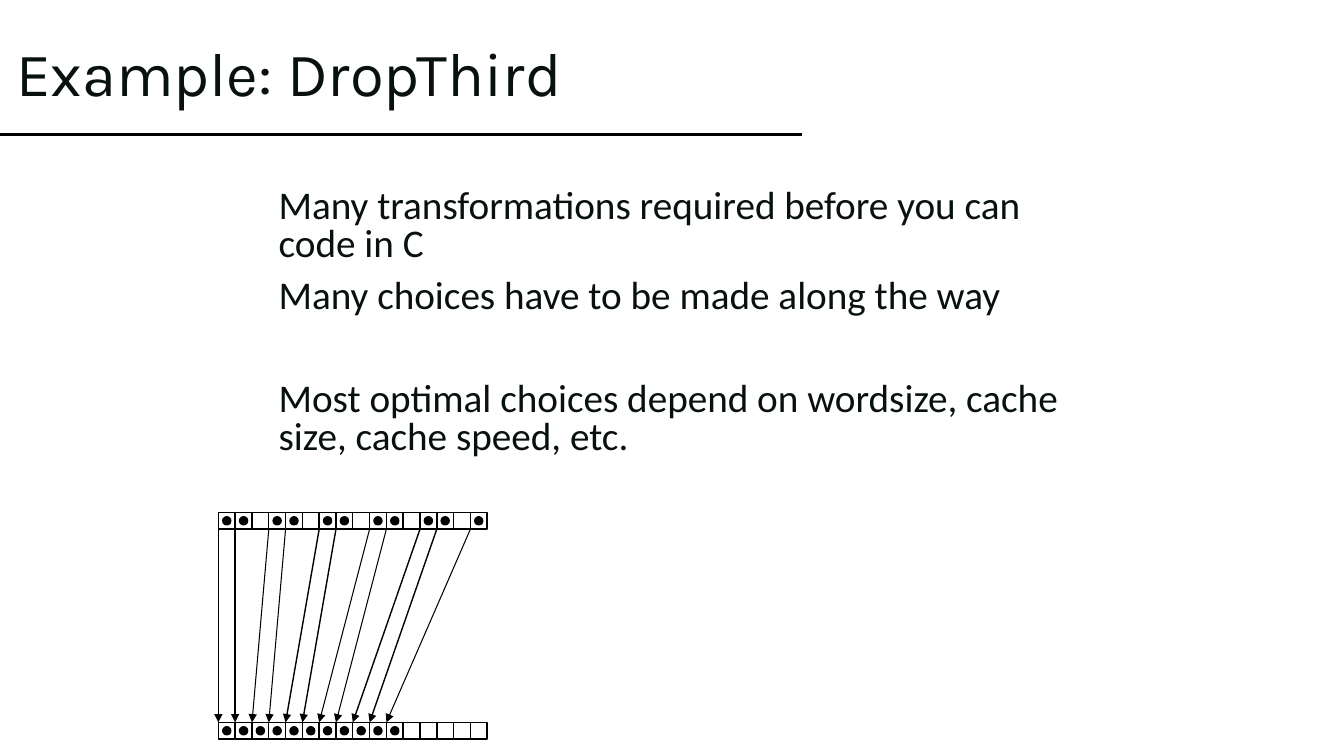
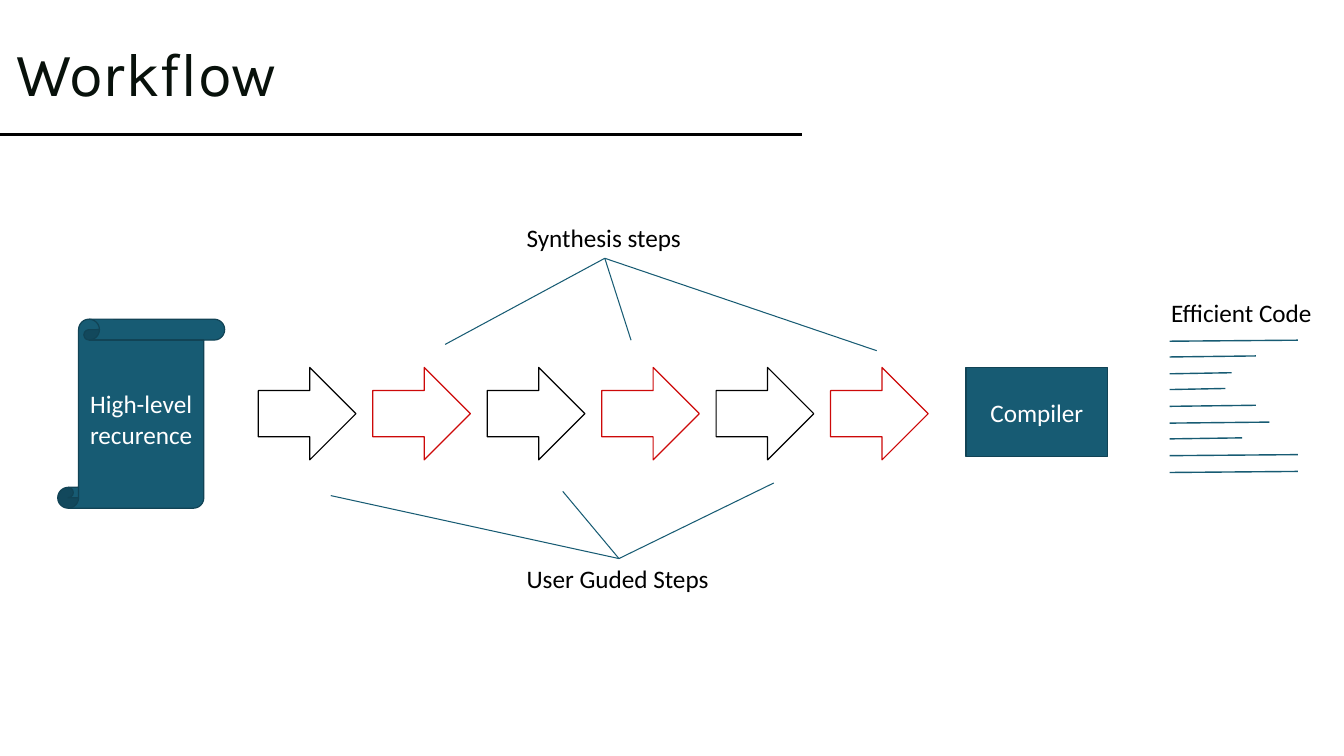
from lxml.etree import SubElement
from pptx import Presentation
from pptx.dml.color import RGBColor
from pptx.enum.shapes import MSO_CONNECTOR, MSO_SHAPE
from pptx.enum.text import MSO_ANCHOR, MSO_AUTO_SIZE, PP_ALIGN
from pptx.oxml.ns import qn
from pptx.util import Pt

EMU_PER_PX = 9525
COLORS = {
    "ink": "08110B",
    "black": "000000",
    "white": "FFFFFF",
    "teal": "175B73",
    "dark_teal": "114355",
    "red": "CD0909",
}
TITLE_FONT = {"name": "Karla", "size": Pt(44)}
BODY_FONT = {"name": "Calibri", "size": Pt(28)}
LABEL_FONT = {"name": "Calibri", "size": Pt(18)}
LABEL_FRAME = {"word_wrap": False, "auto_size": MSO_AUTO_SIZE.SHAPE_TO_FIT_TEXT}
BOTTOM, TOP = 2, 0

CELL, CELL_COUNT, ROW_LEFT = 16, 16, 208
SOURCE_TOP, TARGET_TOP = 488, 688
DOT, DOT_INSET = 8, 4

STEP_LEFT, STEP_PITCH = 246, 109
CODE_LEFT, CODE_TOP, CODE_HEIGHT = 1114, 325, 125
CODE_ENDS = [1236, 1196, 1173, 1167, 1196, 1209, 1183, 1236, 1236]


def px(*lengths):
    return [length * EMU_PER_PX for length in lengths]


def color(name):
    return RGBColor.from_string(COLORS[name])


def set_formats(target, formats):
    for name, value in formats.items():
        setattr(target, name, value)


def set_line(line, line_color, width):
    line.color.rgb = color(line_color)
    line.width = Pt(width)


def write_paragraph(paragraph, text, font, font_color, formats):
    paragraph.text = text
    set_formats(paragraph, formats)
    set_formats(paragraph.font, font)
    paragraph.font.color.rgb = color(font_color)


def add_text(shapes, box, text, font, font_color, frame_formats, paragraph_formats):
    shape = shapes.add_textbox(*px(*box))
    set_formats(shape.text_frame, frame_formats)
    write_paragraph(shape.text_frame.paragraphs[0], text, font, font_color, paragraph_formats)
    return shape


def add_label(shapes, box, text):
    return add_text(shapes, box, text, LABEL_FONT, "black", LABEL_FRAME, {})


def add_preset(shapes, kind, box, fill_color, line_color, width, text=None):
    shape = shapes.add_shape(kind, *px(*box))
    shape.shadow.inherit = False
    if fill_color:
        shape.fill.solid()
        shape.fill.fore_color.rgb = color(fill_color)
    else:
        shape.fill.background()
    set_line(shape.line, line_color, width)
    if text:
        set_formats(shape.text_frame, {"word_wrap": True, "vertical_anchor": MSO_ANCHOR.MIDDLE})
        write_paragraph(shape.text_frame.paragraphs[0], text, LABEL_FONT, "white",
                        {"alignment": PP_ALIGN.CENTER})
    return shape


def add_line(shapes, start, end, line_color, width, arrow=False):
    connector = shapes.add_connector(MSO_CONNECTOR.STRAIGHT, *px(*start, *end))
    set_line(connector.line, line_color, width)
    properties = connector._element.spPr
    if arrow:
        SubElement(properties.find(qn("a:ln")), qn("a:tailEnd"), type="triangle")
    SubElement(properties, qn("a:effectLst"))
    return connector


def add_titled_slide(presentation, title):
    slide = presentation.slides.add_slide(presentation.slide_layouts[6])
    add_line(slide.shapes, (0, 128), (764, 128), "black", 2.25)
    add_text(slide.shapes, (6, 3, 721, 139), title, TITLE_FONT, "ink",
             {"word_wrap": True, "vertical_anchor": MSO_ANCHOR.MIDDLE}, {"line_spacing": 0.9})
    return slide.shapes


def add_body(shapes, box, entries):
    frame = shapes.add_textbox(*px(*box)).text_frame
    frame.word_wrap = True
    for index, (text, space_before) in enumerate(entries):
        paragraph = frame.add_paragraph() if index else frame.paragraphs[0]
        paragraph._p.get_or_add_pPr().set("marL", str(24 * EMU_PER_PX))
        write_paragraph(paragraph, text, BODY_FONT, "ink",
                        {"line_spacing": 0.8, "space_before": Pt(space_before)})


def cell_left(index):
    return ROW_LEFT + index * CELL


def add_cell_row(shapes, top, filled):
    row = shapes.add_group_shape().shapes
    for index in filled:
        add_preset(row, MSO_SHAPE.OVAL,
                   (cell_left(index) + DOT_INSET, top + DOT_INSET, DOT, DOT),
                   "black", "black", 0.75)
    for index in range(CELL_COUNT):
        add_preset(row, MSO_SHAPE.RECTANGLE, (cell_left(index), top, CELL, CELL),
                   None, "black", 1)


def add_fan(shapes, label, site, tips):
    apex = (0, 0)
    for tip in tips:
        connector = add_line(shapes, apex, tip, "teal", 0.75)
        connector.begin_connect(label, site)


def add_code_listing(shapes):
    listing = shapes.add_group_shape().shapes
    for index, end in enumerate(CODE_ENDS):
        top = CODE_TOP + index * CODE_HEIGHT // (len(CODE_ENDS) - 1)
        add_line(listing, (CODE_LEFT, top), (end, top - 1), "teal", 1)
    add_label(listing, (1106, 278, 156, 39), "Efficient Code")


def build_drop_third(presentation):
    shapes = add_titled_slide(presentation, "Example: DropThird")
    add_body(shapes, (232, 176, 816, 280), [
        ("Many transformations required before you can code in C", 0),
        ("Many choices have to be made along the way", 10),
        ("Most optimal choices depend on wordsize, cache size, cache speed, etc.", 47),
    ])
    kept = [index for index in range(CELL_COUNT) if index % 3 != 2]
    moves = shapes.add_group_shape().shapes
    for target, source in enumerate(kept):
        add_line(moves, (cell_left(source), SOURCE_TOP + CELL), (cell_left(target), TARGET_TOP),
                 "black", 0.75 if target // 2 % 2 else 1, arrow=True)
    add_cell_row(shapes, SOURCE_TOP, kept)
    add_cell_row(shapes, TARGET_TOP, range(len(kept)))


def build_workflow(presentation):
    shapes = add_titled_slide(presentation, "Workflow")
    add_preset(shapes, MSO_SHAPE.VERTICAL_SCROLL, (55, 304, 159, 180),
               "teal", "dark_teal", 0.85, "High-level recurence")
    for index in range(6):
        add_preset(shapes, MSO_SHAPE.RIGHT_ARROW, (STEP_LEFT + index * STEP_PITCH, 350, 93, 88),
                   "white", "red" if index % 2 else "black", 0.85)
    synthesis = add_label(shapes, (492, 207, 168, 39), "Synthesis steps")
    add_fan(shapes, synthesis, BOTTOM, [(424, 328), (601, 324), (835, 334)])
    guided = add_label(shapes, (492, 532, 195, 39), "User Guded Steps")
    add_fan(shapes, guided, TOP, [(315, 472), (536, 468), (737, 460)])
    add_preset(shapes, MSO_SHAPE.RECTANGLE, (920, 350, 135, 85),
               "teal", "dark_teal", 0.85, "Compiler")
    add_code_listing(shapes)


def main():
    presentation = Presentation()
    presentation.slide_width, presentation.slide_height = px(1280, 720)
    build_drop_third(presentation)
    build_workflow(presentation)
    presentation.save("out.pptx")


if __name__ == "__main__":
    main()
